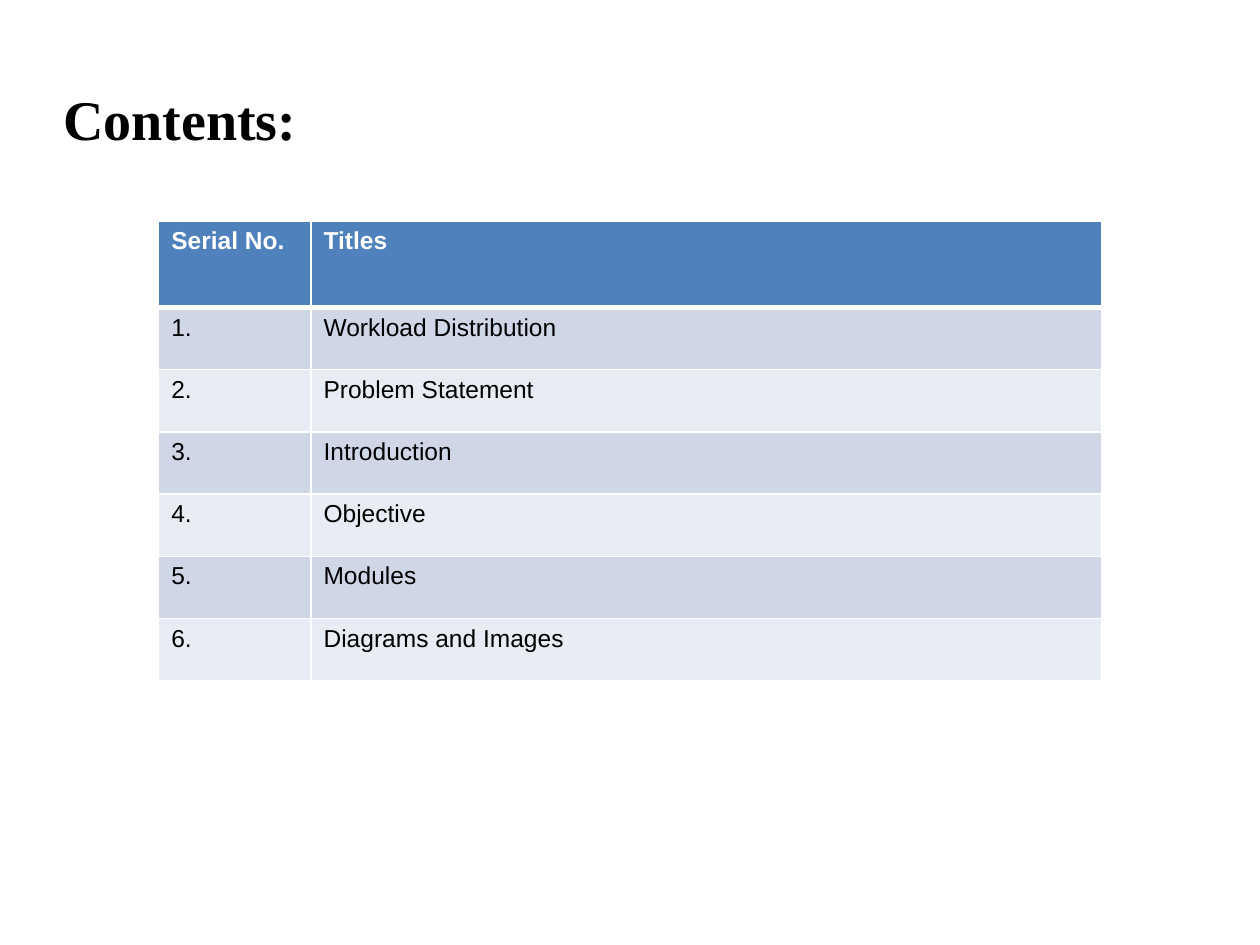
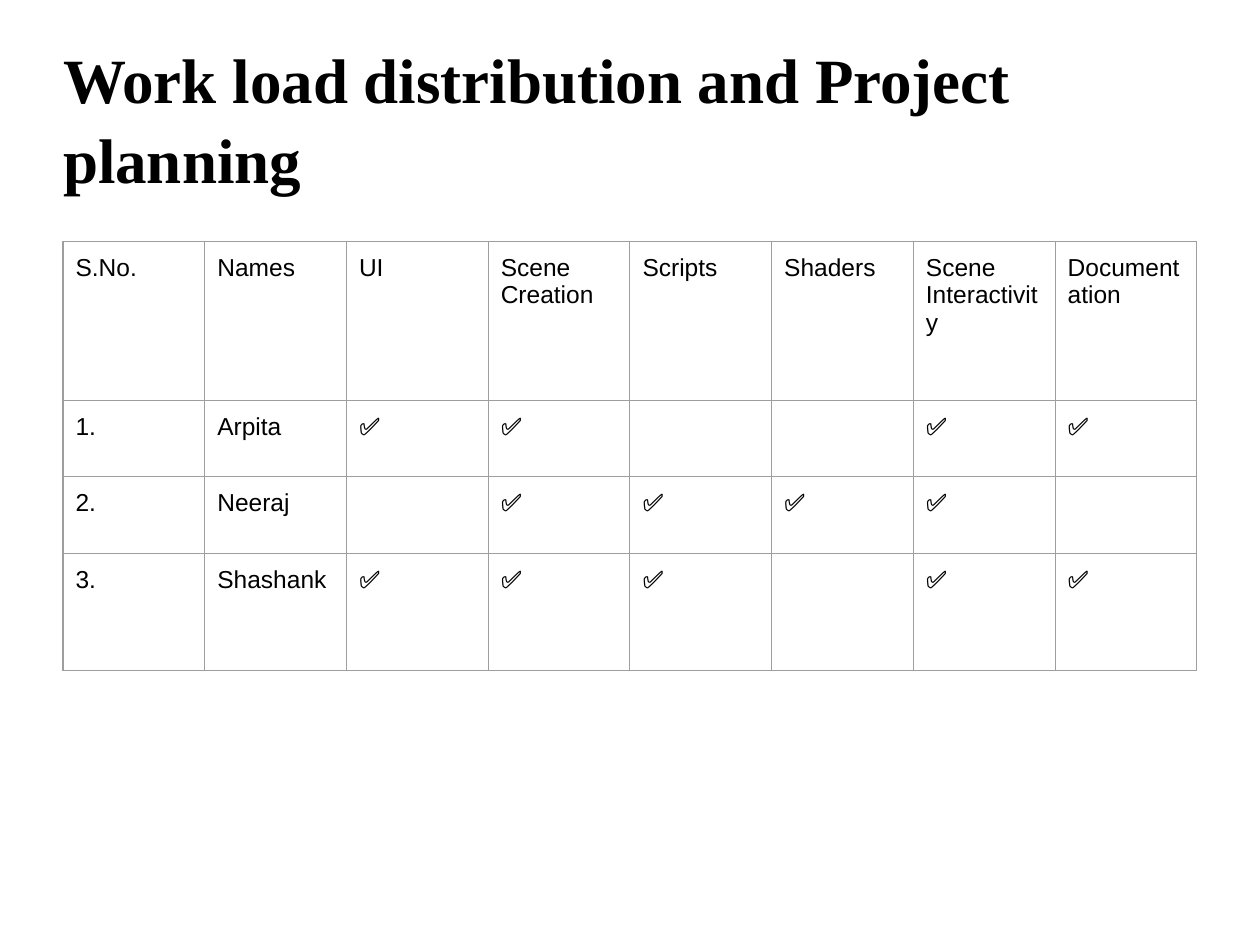
from dataclasses import dataclass

from lxml import etree
from pptx import Presentation
from pptx.dml.color import RGBColor
from pptx.enum.text import MSO_ANCHOR, MSO_AUTO_SIZE, PP_ALIGN
from pptx.oxml.ns import qn
from pptx.slide import Slide
from pptx.table import _Cell
from pptx.util import Pt

LEFT = PP_ALIGN.LEFT
MIDDLE = MSO_ANCHOR.MIDDLE
NO_AUTOFIT = MSO_AUTO_SIZE.NONE
TITLE_ONLY = 5

TITLE_FONT, BODY_FONT = "Times New Roman", "Arial"
BLACK, WHITE, GREY = "000000", "FFFFFF", "9E9E9E"
HEADER_BLUE = "4F81BD"
BAND_COLOURS = ("CFD7E7", "E8ECF4")
BODY_SIZE = 14
SIDE_INSET = 7.2
TICK = "✅"


@dataclass(frozen=True)
class Grid:
    """Place and look of a table; lengths in points."""
    left: float
    top: float
    columns: list[float]
    rows: list[float]
    border: str
    border_width: float
    vertical_inset: float
    banded: bool = False
    header_rule: float = 0


def colour(value: str) -> RGBColor:
    return RGBColor.from_string(value)


def add_titled_slide(deck, title: str, size: float) -> Slide:
    slide = deck.slides.add_slide(deck.slide_layouts[TITLE_ONLY])
    heading = slide.shapes.title
    heading.left, heading.top = Pt(36), Pt(21.6)
    heading.width, heading.height = Pt(648), Pt(90)
    frame = heading.text_frame
    frame.text = title
    frame.word_wrap = True
    frame.auto_size = NO_AUTOFIT
    frame.vertical_anchor = MIDDLE
    frame.margin_left = frame.margin_right = 0
    frame.margin_top = frame.margin_bottom = 0
    paragraph = frame.paragraphs[0]
    paragraph.alignment = LEFT
    paragraph.line_spacing = 1.05
    font = paragraph.runs[0].font
    font.name, font.size, font.bold = TITLE_FONT, Pt(size), True
    font.color.rgb = colour(BLACK)
    return slide


def set_border(cell: _Cell, side: str, value: str, width: float) -> None:
    properties = cell._tc.get_or_add_tcPr()
    line = etree.SubElement(properties, qn(f"a:ln{side}"), w=str(Pt(width)))
    fill = etree.SubElement(line, qn("a:solidFill"))
    etree.SubElement(fill, qn("a:srgbClr"), val=value)


def format_cell(cell: _Cell, text: str, row: int, grid: Grid) -> None:
    is_header = grid.banded and row == 0
    cell.margin_left = cell.margin_right = Pt(SIDE_INSET)
    cell.margin_top = cell.margin_bottom = Pt(grid.vertical_inset)

    # Borders, with a heavier rule between header and body where asked for
    for side in "LRTB":
        under_header = (row, side) in ((0, "B"), (1, "T"))
        width = grid.header_rule if under_header else 0
        set_border(cell, side, grid.border, width or grid.border_width)

    # Fill
    if grid.banded:
        cell.fill.solid()
        band = BAND_COLOURS[(row - 1) % 2]
        cell.fill.fore_color.rgb = colour(HEADER_BLUE if is_header else band)
    else:
        cell.fill.background()

    # Text
    cell.text_frame.text = text
    for run in cell.text_frame.paragraphs[0].runs:
        run.font.name, run.font.size = BODY_FONT, Pt(BODY_SIZE)
        run.font.bold = is_header
        run.font.color.rgb = colour(WHITE if is_header else BLACK)


def add_grid(slide: Slide, grid: Grid, records: list[list[str]]) -> None:
    table = slide.shapes.add_table(
        len(grid.rows), len(grid.columns), Pt(grid.left), Pt(grid.top),
        Pt(sum(grid.columns)), Pt(sum(grid.rows))).table
    table.first_row = table.horz_banding = False
    for column, width in zip(table.columns, grid.columns):
        column.width = Pt(width)
    for table_row, height in zip(table.rows, grid.rows):
        table_row.height = Pt(height)
    for row, record in enumerate(records):
        for column, text in enumerate(record):
            format_cell(table.cell(row, column), text, row, grid)


# Contents
TOPICS = ["Workload Distribution", "Problem Statement", "Introduction",
          "Objective", "Modules", "Diagrams and Images"]
CONTENTS_GRID = Grid(90.72, 126.2, [87, 452], [49.5] + [35.55] * len(TOPICS),
                     WHITE, 1, 3.6, banded=True, header_rule=3)

# Workload: the tasks each member takes part in
TASKS = ["UI", "Scene Creation", "Scripts", "Shaders",
         "Scene Interactivity", "Documentation"]
MEMBER_TASKS = {
    "Arpita": {"UI", "Scene Creation", "Scene Interactivity", "Documentation"},
    "Neeraj": {"Scene Creation", "Scripts", "Shaders", "Scene Interactivity"},
    "Shashank": {"UI", "Scene Creation", "Scripts", "Scene Interactivity",
                 "Documentation"},
}
WORKLOAD_GRID = Grid(36, 137.9, [81] * (len(TASKS) + 2),
                     [90.9, 43.7, 43.7, 67], GREY, 0.75, 7.2)


def main() -> None:
    deck = Presentation()
    deck.slide_width, deck.slide_height = Pt(720), Pt(540)

    contents = add_titled_slide(deck, "Contents:", 32)
    topics = [[f"{number}.", topic] for number, topic in enumerate(TOPICS, 1)]
    add_grid(contents, CONTENTS_GRID, [["Serial No.", "Titles"]] + topics)

    workload = add_titled_slide(
        deck, "Work load distribution and Project planning", 36)
    members = [
        [f"{number}.", name] + [TICK if task in tasks else "" for task in TASKS]
        for number, (name, tasks) in enumerate(MEMBER_TASKS.items(), 1)]
    add_grid(workload, WORKLOAD_GRID, [["S.No.", "Names"] + TASKS] + members)

    deck.save("out.pptx")


if __name__ == "__main__":
    main()
